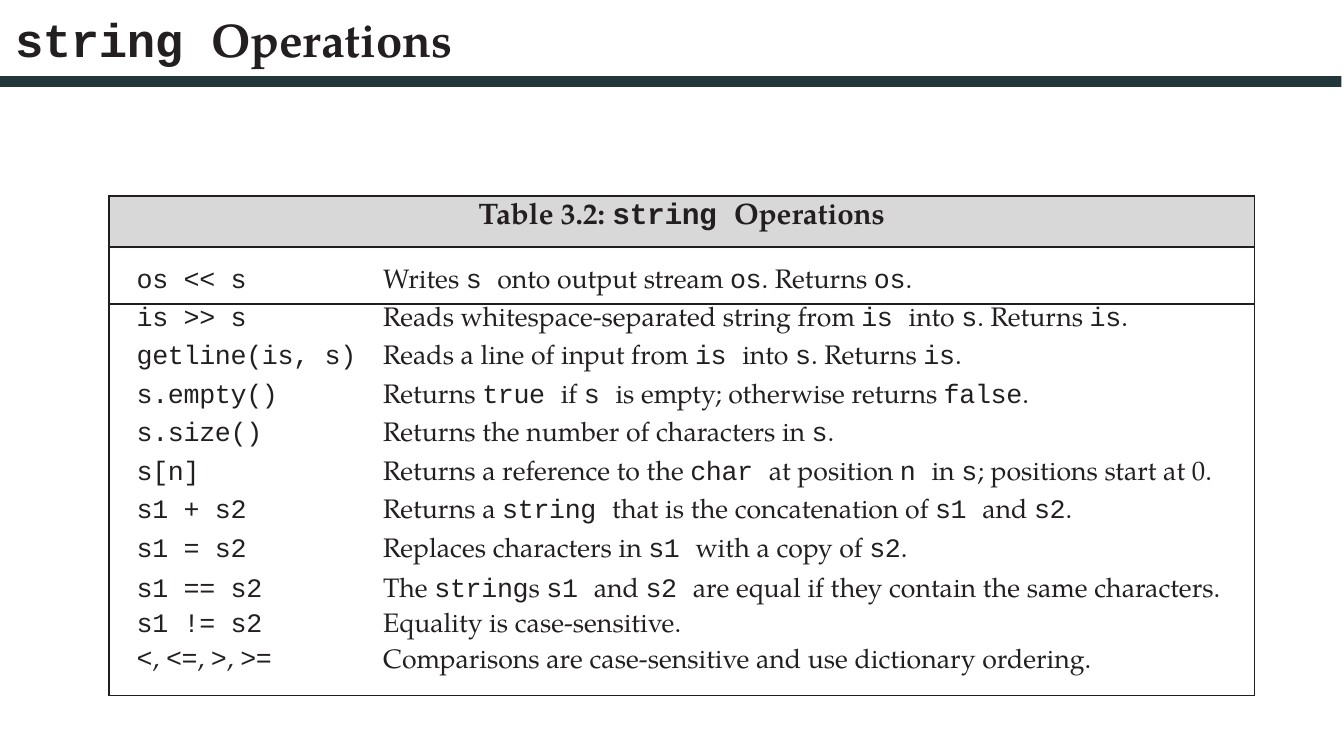
import pptx
import pptx.util
import pptx.dml.color
import pptx.enum.shapes
import pptx.enum.text
import pptx.oxml.ns
from lxml import etree
from pptx.util import Cm

theme = {
    "ink": "231F20",
    "rule": "221E1F",
    "bar": "22373A",
    "header": "D8D8D8",
    "serif": "TeX Gyre Pagella",
    "code": "Courier New",
    "title_size": 16,
    "header_size": 10,
    "body_size": 9,
}

operations = [
    ("`os << s`", "Writes `s `onto output stream `os`. Returns `os`."),
    ("`is >> s`", "Reads whitespace-separated string from `is `into `s`. Returns `is`."),
    ("`getline(is, s)`", "Reads a line of input from `is `into `s`. Returns `is`."),
    ("`s.empty()`", "Returns `true `if `s `is empty; otherwise returns `false`."),
    ("`s.size()`", "Returns the number of characters in `s`."),
    ("`s[n]`", "Returns a reference to the `char `at position `n `in `s`; positions start at 0."),
    ("`s1 + s2`", "Returns a `string `that is the concatenation of `s1 `and `s2`."),
    ("`s1 = s2`", "Replaces characters in `s1 `with a copy of `s2`."),
    ("`s1 == s2`", "The `string`s `s1 `and `s2 `are equal if they contain the same characters."),
    ("`s1 != s2`", "Equality is case-sensitive."),
    ("`<`, `<=`, `>`, `>=`", "Comparisons are case-sensitive and use dictionary ordering."),
]
column_widths = [3.07, 10.59]
column_indents = [0.33, 0.2]
row_heights = [0.61, 0.68] + [0.46] * 7 + [0.43, 0.41, 0.61]
exact_spacing = {9: 10.6, 10: 10.2, 11: 10.7}
last_row = len(operations)


def add_runs(paragraph, text, size, bold=False):
    for index, part in enumerate(text.split("`")):
        if not part:
            continue
        is_code = index % 2 == 1
        run = paragraph.add_run()
        run.text = part
        run.font.name = theme["code"] if is_code else theme["serif"]
        run.font.size = pptx.util.Pt(size)
        run.font.bold = bold
        run.font.color.rgb = pptx.dml.color.RGBColor.from_string(theme["ink"])
        if is_code:
            run._r.get_or_add_rPr().set("spc", "-10")


def set_borders(cell, widths):
    properties = cell._tc.get_or_add_tcPr()
    for position, side in enumerate("LRTB"):
        width = widths.get(side, 0)
        line = etree.Element(pptx.oxml.ns.qn(f"a:ln{side}"))
        if width:
            line.set("w", str(pptx.util.Pt(width)))
            fill = etree.SubElement(line, pptx.oxml.ns.qn("a:solidFill"))
            etree.SubElement(fill, pptx.oxml.ns.qn("a:srgbClr"), val=theme["rule"])
        else:
            etree.SubElement(line, pptx.oxml.ns.qn("a:noFill"))
        properties.insert(position, line)


presentation = pptx.Presentation()
presentation.slide_width = Cm(16.03)
presentation.slide_height = Cm(9.02)
slide = presentation.slides.add_slide(presentation.slide_layouts[6])

bar = slide.shapes.add_shape(
    pptx.enum.shapes.MSO_SHAPE.RECTANGLE, 0, Cm(0.91), Cm(16), Cm(0.13)
)
bar.shadow.inherit = False
bar.fill.solid()
bar.fill.fore_color.rgb = pptx.dml.color.RGBColor.from_string(theme["bar"])
bar.line.fill.background()

title = slide.shapes.add_textbox(Cm(0.18), Cm(-0.15), Cm(13.61), Cm(0.99))
frame = title.text_frame
frame.word_wrap = True
frame.margin_left = frame.margin_right = frame.margin_bottom = 0
frame.margin_top = Cm(0.3)
paragraph = frame.paragraphs[0]
paragraph.space_before = pptx.util.Pt(4.8)
paragraph.line_spacing = 0.99
add_runs(paragraph, "`string `Operations", theme["title_size"], bold=True)

table = slide.shapes.add_table(
    len(row_heights), 2, Cm(1.3), Cm(2.34), Cm(sum(column_widths)), Cm(sum(row_heights))
).table
table.first_row = False
table.horz_banding = False
for column, width in zip(table.columns, column_widths):
    column.width = Cm(width)
for row, height in zip(table.rows, row_heights):
    row.height = Cm(height)
table.cell(0, 0).merge(table.cell(0, 1))

for row_index in range(len(row_heights)):
    for column_index in range(2):
        cell = table.cell(row_index, column_index)
        cell.margin_left = cell.margin_right = cell.margin_top = cell.margin_bottom = 0
        cell.vertical_anchor = pptx.enum.text.MSO_ANCHOR.TOP
        cell.fill.background()
        borders = {"L" if column_index == 0 else "R": 0.5}
        if row_index == 0:
            cell.fill.solid()
            cell.fill.fore_color.rgb = pptx.dml.color.RGBColor.from_string(theme["header"])
            borders.update(L=0.5, R=0.5, T=0.5, B=0.75)
        elif row_index == 1:
            borders.update(T=0.75, B=0.75)
        elif row_index == 2:
            borders["T"] = 0.75
        elif row_index == last_row:
            borders["B"] = 0.5
        set_borders(cell, borders)

        paragraph = cell.text_frame.paragraphs[0]
        if row_index == 0:
            if column_index == 0:
                cell.margin_top = Cm(0.05)
                paragraph.alignment = pptx.enum.text.PP_ALIGN.CENTER
                paragraph.space_before = pptx.util.Pt(1.2)
                add_runs(paragraph, "Table 3.2: `string `Operations", theme["header_size"], bold=True)
            continue
        cell.margin_top = Cm(0.23 if row_index == 1 else 0)
        paragraph._p.get_or_add_pPr().set("marL", str(Cm(column_indents[column_index])))
        if row_index < 10:
            paragraph.space_before = pptx.util.Pt(6.5 if row_index == 1 else 0.3)
        if row_index in exact_spacing:
            paragraph.line_spacing = pptx.util.Pt(exact_spacing[row_index])
        add_runs(paragraph, operations[row_index - 1][column_index], theme["body_size"])

presentation.save("out.pptx")
